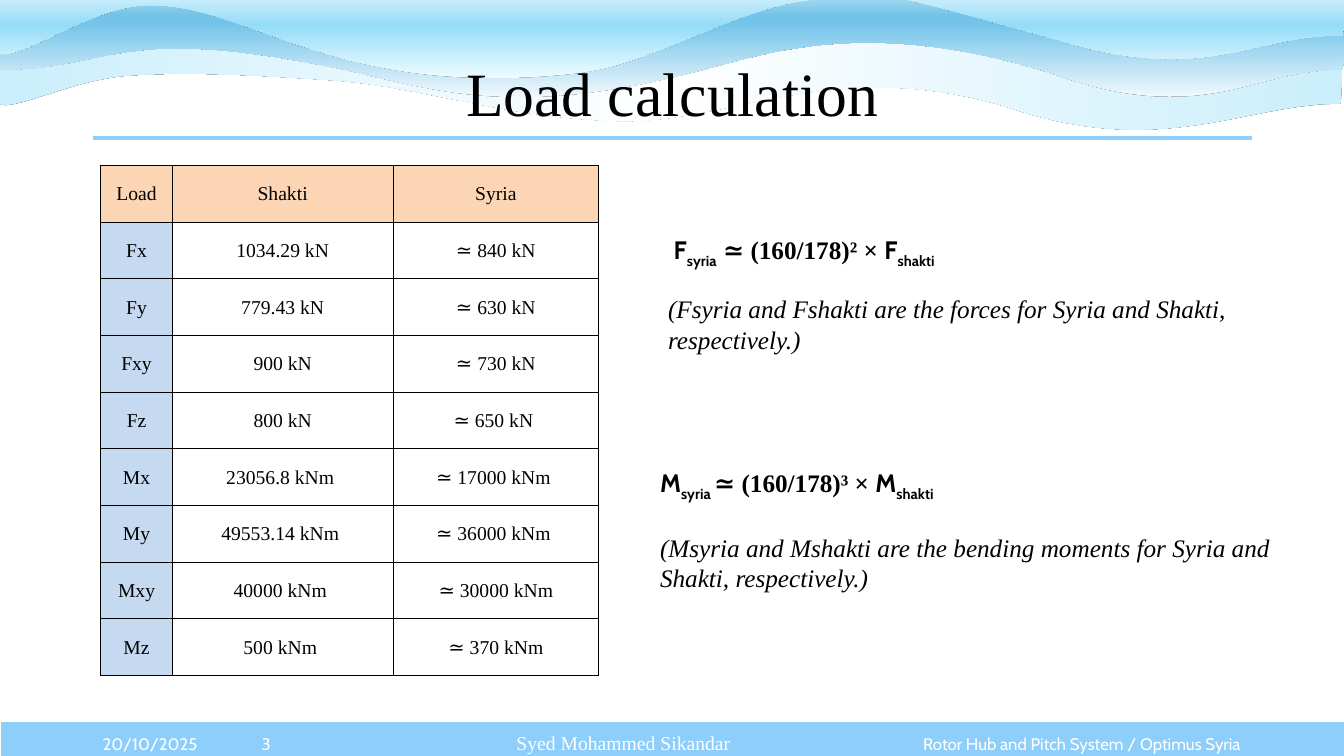
from lxml import etree
from pptx import Presentation
from pptx.dml.color import RGBColor
from pptx.enum.shapes import MSO_CONNECTOR, MSO_SHAPE
from pptx.enum.text import MSO_ANCHOR, MSO_AUTO_SIZE, PP_ALIGN
from pptx.oxml import parse_xml
from pptx.oxml.ns import qn
from pptx.util import Inches, Pt

LEFT, CENTER, RIGHT = PP_ALIGN.LEFT, PP_ALIGN.CENTER, PP_ALIGN.RIGHT
MIDDLE, TOP = MSO_ANCHOR.MIDDLE, MSO_ANCHOR.TOP
RECT, STRAIGHT = MSO_SHAPE.RECTANGLE, MSO_CONNECTOR.STRAIGHT
NO_FIT = MSO_AUTO_SIZE.NONE
NS = 'xmlns:a="http://schemas.openxmlformats.org/drawingml/2006/main"'
SERIF, SANS = "Times New Roman", "Cabin"
COLORS = {"accent": "8ECEFA", "white": "FFFFFF", "black": "000000",
          "header": "FCD5B4", "load": "C5D9F1"}

WAVES = [
    {"box": (-0.04, 0.3, 13.36, 0.98), "start": (13.3, 1.03),
     "curves": [(12.37, 1.02, 11.52, 1.59, 9.99, 1.06), (8.27, 0.54, 7.21, 1.24, 6.1, 1.2),
                (4.99, 1.16, 4.21, 0.87, 3.35, 0.8), (2.49, 0.74, 1.83, 0.71, 1.27, 0.75),
                (0.71, 0.79, 0.14, 1.11, -0.02, 1.03), (-0.02, 0.8, -0.04, 0.53, -0.04, 0.3)],
     "edge": [(3.13, 0.31), (6.52, 0.34), (9.41, 0.32), (13.32, 0.34)],
     "close": (13.32, 0.55, 13.32, 0.8, 13.3, 1.03),
     "stops": [(0, "CAEEFB"), (50, "FFFFFF"), (100, "CAEEFB")], "angle": 0},
    {"box": (0, -0.02, 13.33, 0.98), "start": (13.32, 0.69),
     "curves": [(12.39, 0.69, 11.96, 1.27, 10.44, 0.73), (8.71, 0.19, 7.73, 0.49, 7.06, 0.67),
                (5.28, 1.14, 4.59, 0.97, 3.46, 0.7), (1.13, 0.21, 1.15, 0.69, 0, 0.69),
                (0, 0.46, 0.01, 0.23, 0.01, -0.01)],
     "edge": [(3.13, 0), (6.54, -0.02), (9.46, -0.01), (13.33, 0.03)],
     "close": (13.33, 0.25, 13.34, 0.46, 13.32, 0.69),
     "stops": [(0, "F0F8FD"), (74, "74C4E9"), (83, "74C4E9"), (100, "A2D8F0")], "angle": 90},
    {"box": (-0.03, -0.28, 13.36, 1.06), "start": (13.32, 0.35),
     "curves": [(12.39, 0.35, 11.96, 0.86, 10.44, 0.38), (8.72, -0.09, 8.91, -0.07, 8.13, -0.01),
                (7.35, 0.04, 6.53, 0.62, 5.76, 0.72), (4.98, 0.82, 4.24, 0.79, 3.47, 0.6),
                (2.58, 0.36, 2.07, 0.05, 1.5, 0.05), (0.92, 0.04, 0.22, 0.61, -0.03, 0.53),
                (-0.02, 0.32, 0.01, -0.06, 0.01, -0.27)],
     "edge": [(3.13, -0.26), (6.54, -0.28), (9.46, -0.27), (13.33, -0.24)],
     "close": (13.33, -0.04, 13.34, 0.14, 13.32, 0.35),
     "stops": [(0, "EFFCFF"), (50, "96DCF8"), (100, "FFFFFF")], "angle": 90},
]

LOADS = [
    ("Load", "Shakti", "Syria"),
    ("Fx", "1034.29 kN", "≃ 840 kN"),
    ("Fy", "779.43 kN", "≃ 630 kN"),
    ("Fxy", "900 kN", "≃ 730 kN"),
    ("Fz", "800 kN", "≃ 650 kN "),
    ("Mx", "23056.8 kNm ", "≃ 17000 kNm "),
    ("My", "49553.14 kNm ", "≃ 36000 kNm "),
    ("Mxy", "40000 kNm ", "≃ 30000 kNm"),
    ("Mz", "500 kNm ", "≃ 370 kNm"),
]


def rgb(name):
    """Return the named colour."""
    return RGBColor.from_string(COLORS[name])


def place(sp, left, top, width, height):
    """Move and size a shape, in inches."""
    box = {"left": left, "top": top, "width": width, "height": height}
    for name, value in box.items():
        setattr(sp, name, Inches(value))


def add_run(p, text, size, font=SERIF, color="black", baseline=0, **style):
    """Add a formatted run to a paragraph."""
    r = p.add_run()
    r.text = text
    for name, value in {"size": Pt(size), "name": font, "bold": False, **style}.items():
        setattr(r.font, name, value)
    r.font.color.rgb = rgb(color)
    if baseline:
        r.font._element.set("baseline", str(baseline * 1000))


def frame(sp, anchor):
    """Set wrapping and anchor, and return the text frame."""
    tf = sp.text_frame
    for name, value in {"word_wrap": True, "auto_size": NO_FIT,
                        "vertical_anchor": anchor}.items():
        setattr(tf, name, value)
    return tf


def add_wave(s, wave):
    """Draw one gradient wave, turned upside down, across the top of the slide."""
    left, top, width, height = wave["box"]

    def local(x, y):
        """Return a slide point in the coordinates of the turned shape."""
        return Inches(left + width - x), Inches(top + height - y)

    builder = s.shapes.build_freeform(*local(*wave["start"]))
    segments = wave["curves"] + wave["edge"] + [wave["close"]]
    builder.add_line_segments([local(*segment[-2:]) for segment in segments])
    sp = builder.convert_to_shape()
    place(sp, *wave["box"])
    sp.rotation = 180
    sp.line.fill.background()
    outline = next(sp._element.iter(qn("a:path")))
    for name, value in (("w", width), ("h", height)):
        outline.set(name, str(Inches(value)))
    for step, segment in zip(outline, [wave["start"]] + segments):
        for point in list(step):
            step.remove(point)
        if len(segment) == 6:
            step.tag = qn("a:cubicBezTo")
        for x, y in zip(segment[::2], segment[1::2]):
            px, py = local(x, y)
            etree.SubElement(step, qn("a:pt"), x=str(px), y=str(py))
    stops = "".join(f'<a:gs pos="{pos * 1000}"><a:srgbClr val="{color}"/></a:gs>'
                    for pos, color in wave["stops"])
    gradient = parse_xml(f'<a:gradFill {NS} rotWithShape="1"><a:gsLst>{stops}</a:gsLst>'
                         f'<a:lin ang="{wave["angle"] * 60000}" scaled="0"/></a:gradFill>')
    spPr = sp._element.spPr
    spPr.find(qn("a:custGeom")).addnext(gradient)
    spPr.append(parse_xml(f'<a:effectLst {NS}><a:outerShdw blurRad="0" dist="0" dir="0">'
                          f'<a:srgbClr val="{COLORS["black"]}"/></a:outerShdw></a:effectLst>'))


def add_footer_bar(s):
    """Draw the band along the bottom."""
    sp = s.shapes.add_shape(RECT, Inches(0), Inches(7.15), Inches(13.35), Inches(0.4))
    sp.shadow.inherit = False
    sp.fill.solid()
    sp.fill.fore_color.rgb = rgb("accent")
    sp.line.color.rgb = rgb("white")
    sp.line.width = Pt(1.5)


def add_title_rule(s):
    """Draw the line below the title."""
    line = s.shapes.add_connector(STRAIGHT, Inches(0.92), Inches(1.37),
                                  Inches(12.42), Inches(1.37))
    line.line.color.rgb = rgb("accent")
    line.line.width = Pt(3)
    etree.SubElement(line._element.spPr, qn("a:effectLst"))


def fill_placeholder(s, sp, box, text, size, color, space_before=0):
    """Move a placeholder to the front and write its centred text."""
    s.shapes._spTree.append(sp._element)
    place(sp, *box)
    p = frame(sp, MIDDLE).paragraphs[0]
    for name, value in {"alignment": CENTER, "line_spacing": 0.9,
                        "space_before": Pt(space_before)}.items():
        setattr(p, name, value)
    pPr = p._p.get_or_add_pPr()
    for name in ("marL", "indent"):
        pPr.set(name, "0")
    etree.SubElement(pPr, qn("a:buNone"))
    add_run(p, text, size, color=color)


def add_footer_text(s, left, width, text, align):
    """Write one small text in the footer band."""
    sp = s.shapes.add_textbox(Inches(left), Inches(7.18), Inches(width), Inches(0.4))
    p = frame(sp, MIDDLE).paragraphs[0]
    p.alignment = align
    add_run(p, text, 12, SANS, "white")


def format_cell(cell, text, fill):
    """Write a table cell with thin black borders."""
    insets = {"margin_left": 0.01, "margin_right": 0.01, "margin_top": 0.01, "margin_bottom": 0}
    for name, value in insets.items():
        setattr(cell, name, Inches(value))
    cell.vertical_anchor = MIDDLE
    p = cell.text_frame.paragraphs[0]
    p.alignment = CENTER
    add_run(p, text, 14)
    tcPr = cell._tc.get_or_add_tcPr()
    for side in ("lnL", "lnR", "lnT", "lnB"):
        tcPr.append(parse_xml(f'<a:{side} {NS} w="6350"><a:solidFill><a:srgbClr '
                              f'val="{COLORS["black"]}"/></a:solidFill></a:{side}>'))
    if fill:
        cell.fill.solid()
        cell.fill.fore_color.rgb = rgb(fill)
    else:
        cell.fill.background()


def add_load_table(s):
    """Build the table of loads."""
    table = s.shapes.add_table(len(LOADS), 3, Inches(1), Inches(1.64),
                               Inches(4.95), Inches(5.06)).table
    for column, width in zip(table.columns, (0.71, 2.19, 2.04)):
        column.width = Inches(width)
    for i, row in enumerate(LOADS):
        for j, text in enumerate(row):
            fill = "header" if i == 0 else "load" if j == 0 else None
            format_cell(table.cell(i, j), text, fill)


def add_formula(s, box, symbol, tail, ratio, note, gap):
    """Write a scaling formula with its explanation below."""
    sp = s.shapes.add_textbox(*(Inches(v) for v in box))
    tf = frame(sp, TOP)
    p = tf.paragraphs[0]
    for text, font, baseline in ((symbol, SANS, 0), ("syria" + tail, SANS, -25),
                                 (ratio, SERIF, 0), (symbol.strip(), SANS, 0),
                                 ("shakti", SANS, -25)):
        add_run(p, text, 18, font, baseline=baseline, bold=True)
    p = tf.add_paragraph()
    p.space_before = Pt(gap)
    add_run(p, note, 18, italic=True)


def main():
    """Build and save the slide."""
    prs = Presentation()
    prs.slide_width, prs.slide_height = Inches(40 / 3), Inches(7.5)
    s = prs.slides.add_slide(prs.slide_layouts[1])
    add_footer_bar(s)
    for wave in WAVES:
        add_wave(s, wave)
    add_title_rule(s)
    add_footer_text(s, 0.92, 1.22, "20/10/2025", LEFT)
    add_footer_text(s, 8.81, 3.6, "Rotor Hub and Pitch System / Optimus Syria", RIGHT)
    add_footer_text(s, 2.13, 1.02, "3", CENTER)
    fill_placeholder(s, s.shapes.title, (0.92, 0.23, 11.5, 1.45), "Load calculation", 44, "black")
    fill_placeholder(s, s.placeholders[1], (3.15, 7.18, 6.12, 0.4),
                     "Syed Mohammed Sikandar ", 14, "white", 10)
    add_load_table(s)
    add_formula(s, (6.53, 2.28, 5.94, 1.25), " F", "", " ≃ (160/178)² × ",
                "(Fsyria and Fshakti are the forces for Syria and Shakti, respectively.)", 17.5)
    add_formula(s, (6.45, 4.59, 6.67, 1.35), "M", " ", "≃ (160/178)³ × ",
                "(Msyria and Mshakti are the bending moments for Syria and Shakti, respectively.)", 21.5)
    prs.save("out.pptx")


if __name__ == "__main__":
    main()
